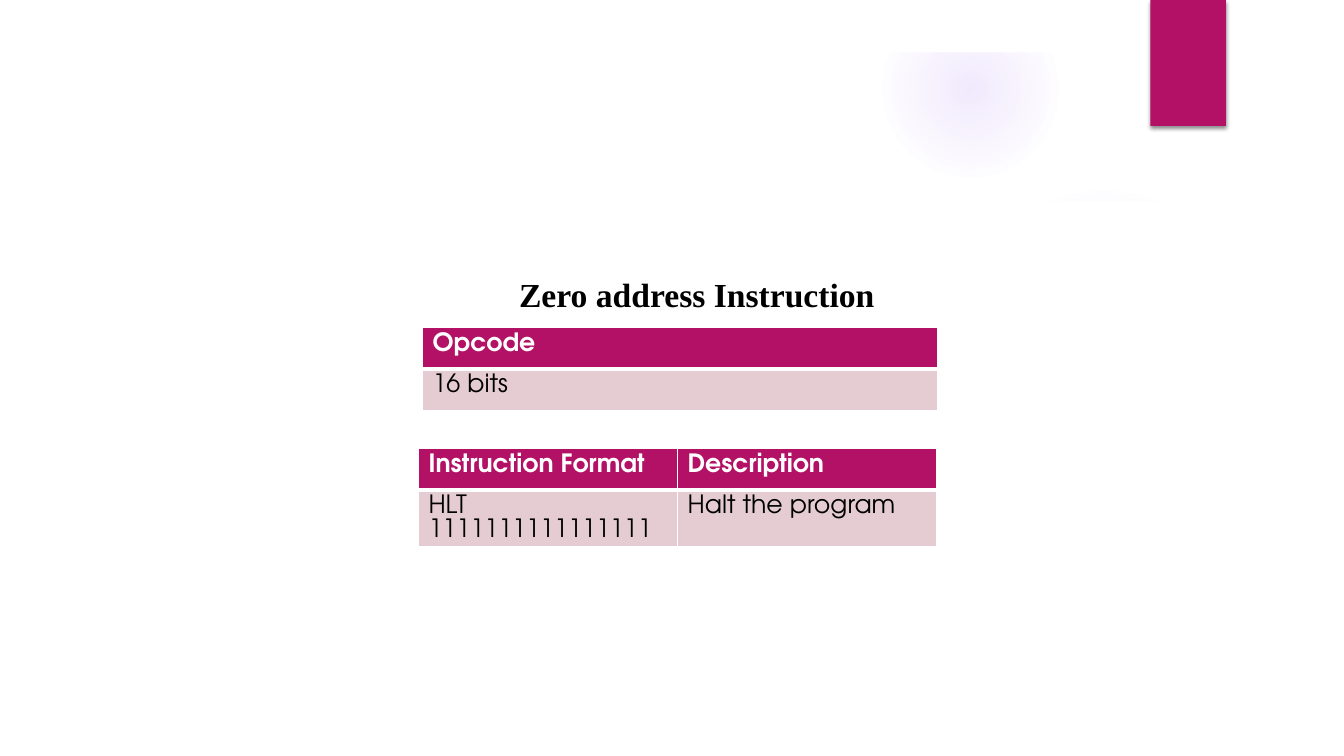
import pptx
import pptx.dml.color
import pptx.enum.shapes
import pptx.enum.text
import pptx.oxml
import pptx.util
from pptx.util import Inches

NS = 'xmlns:a="http://schemas.openxmlformats.org/drawingml/2006/main"'
SHAPE = pptx.enum.shapes.MSO_SHAPE
MAGENTA, PINK, WHITE, BLACK, VIOLET = "B31166", "E5CCD3", "FFFFFF", "000000", "9B6BF2"


def rgb(value):
    return pptx.dml.color.RGBColor.from_string(value)


def xml(text):
    """Build one DrawingML element, declaring the a: prefix on its root."""
    tag, rest = text.split(" ", 1)
    return pptx.oxml.parse_xml(f"{tag} {NS} {rest}")


class Deck:
    heading = {"name": "Times New Roman", "size": pptx.util.Pt(24), "bold": True}
    body = {"name": "TeX Gyre Adventor", "size": pptx.util.Pt(18), "bold": False}

    def __init__(self, width, height):
        self.prs = pptx.Presentation()
        self.prs.slide_width = Inches(width)
        self.prs.slide_height = Inches(height)
        self.s = self.prs.slides.add_slide(self.prs.slide_layouts[6])

    def add_text(self, tf, text, style, color):
        r = tf.paragraphs[0].add_run()
        r.text = text
        for key, value in style.items():
            setattr(r.font, key, value)
        r.font.color.rgb = rgb(color)

    def paint(self, sp, color):
        sp.shadow.inherit = False
        sp.fill.solid()
        sp.fill.fore_color.rgb = rgb(color)
        sp.line.fill.background()
        return sp

    def shape(self, kind, box, color):
        return self.paint(self.s.shapes.add_shape(kind, *map(Inches, box)), color)

    def glow(self, box, stops):
        """Ellipse fading outwards; stops are (position %, opacity %)."""
        sp = self.shape(SHAPE.OVAL, box, VIOLET)
        marks = "".join(
            f'<a:gs pos="{pos * 1000}"><a:srgbClr val="{VIOLET}">'
            f'<a:alpha val="{alpha * 1000}"/></a:srgbClr></a:gs>'
            for pos, alpha in stops)
        grad = xml(f'<a:gradFill rotWithShape="1"><a:gsLst>{marks}</a:gsLst><a:path path="circle">'
                   '<a:fillToRect l="50000" t="50000" r="50000" b="50000"/></a:path></a:gradFill>')
        props = sp.element.spPr
        props.replace(props.find(pptx.oxml.ns.qn("a:solidFill")), grad)

    def outline(self, points, color):
        fb = self.s.shapes.build_freeform(*points[0], scale=Inches(1))
        fb.add_line_segments(points[1:], close=True)
        return self.paint(fb.convert_to_shape(), color)

    def drop_shadow(self, sp):
        effects = sp.element.spPr.find(pptx.oxml.ns.qn("a:effectLst"))
        effects.append(xml(
            '<a:outerShdw blurRad="38100" dist="25400" dir="5400000" rotWithShape="0">'
            f'<a:srgbClr val="{BLACK}"><a:alpha val="45000"/></a:srgbClr></a:outerShdw>'))

    def label(self, box, text):
        tf = self.s.shapes.add_textbox(*map(Inches, box)).text_frame
        tf.word_wrap = False
        tf.auto_size = pptx.enum.text.MSO_AUTO_SIZE.SHAPE_TO_FIT_TEXT
        self.add_text(tf, text, self.heading, BLACK)

    def borders(self, cell, bottom):
        for side, points in (("L", 1), ("R", 1), ("T", 1), ("B", bottom)):
            cell._tc.get_or_add_tcPr().append(xml(
                f'<a:ln{side} w="{points * 12700}"><a:solidFill>'
                f'<a:srgbClr val="{WHITE}"/></a:solidFill></a:ln{side}>'))

    def table(self, left, top, width, rows, row_height=0.41):
        box = (left, top, width, row_height * len(rows))
        table = self.s.shapes.add_table(len(rows), len(rows[0]), *map(Inches, box)).table
        for i, row in enumerate(rows):
            header = i == 0
            for j, text in enumerate(row):
                cell = table.cell(i, j)
                self.borders(cell, 3 if header else 1)
                cell.fill.solid()
                cell.fill.fore_color.rgb = rgb(MAGENTA if header else PINK)
                self.add_text(cell.text_frame, text, {**self.body, "bold": header},
                              WHITE if header else BLACK)


def main():
    deck = Deck(13.33, 7.5)
    deck.glow((9.41, 1.83, 3.08, 3.08), [(0, 7), (36, 6), (69, 0)])
    deck.glow((8.75, 0.01, 1.75, 1.75), [(0, 14), (36, 7), (73, 0)])
    deck.outline([(0.5, 2.04), (2.16, 2.24), (4.44, 2.41), (6.82, 2.48), (8.4, 2.46),
                  (9.76, 2.39), (10.88, 2.3), (12, 2.17), (12.84, 2.04),
                  (12.84, 7), (0.5, 7)], WHITE)
    frame = deck.shape(SHAPE.FRAME, (0, 0, 13.33, 7.5), WHITE)
    frame.adjustments[0] = 0.52 / 7.5
    deck.drop_shadow(deck.shape(SHAPE.RECTANGLE, (11.41, 0, 0.75, 1.25), MAGENTA))

    deck.table(4.15, 4.45, 5.14, [("Instruction Format", "Description"),
                                  ("HLT 1111111111111111", "Halt the program")])
    deck.label((5.05, 2.67, 3.85, 0.5), "Zero address Instruction")
    deck.table(4.19, 3.25, 5.11, [("Opcode",), ("16 bits",)])
    deck.prs.save("out.pptx")


if __name__ == "__main__":
    main()
